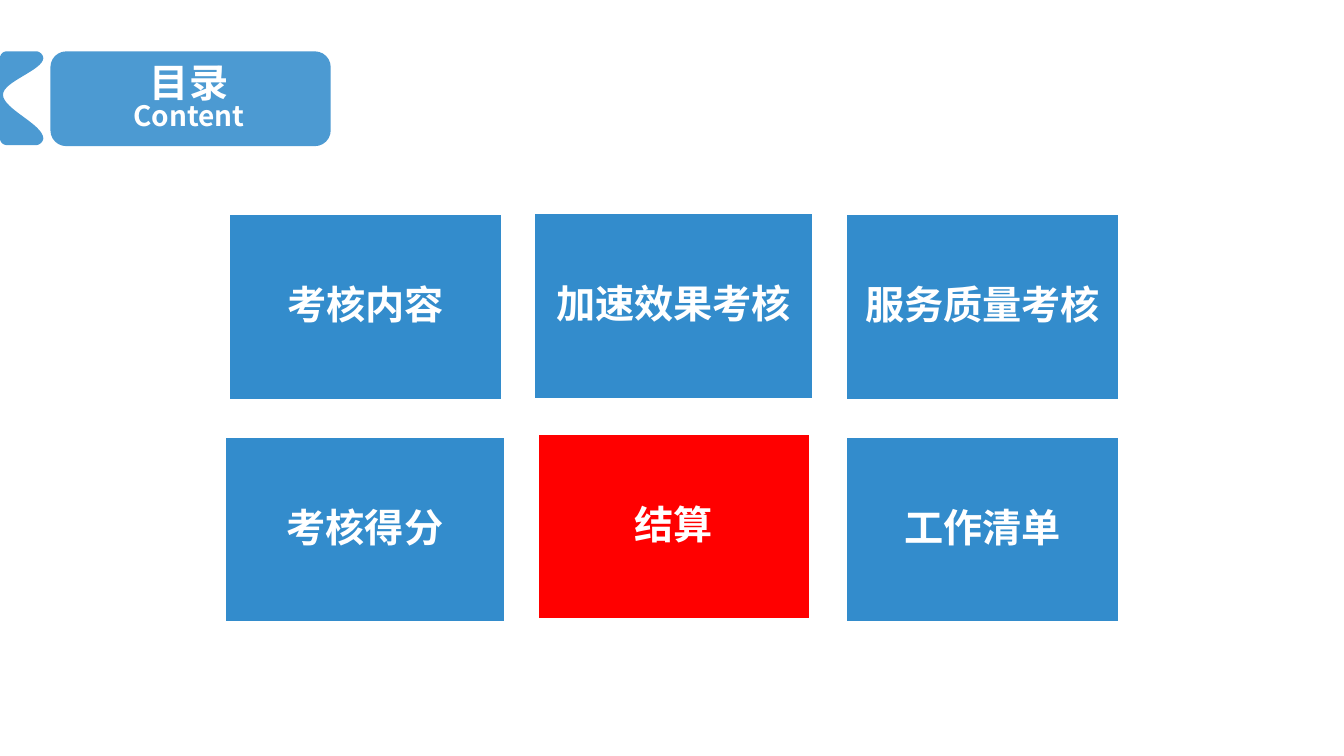
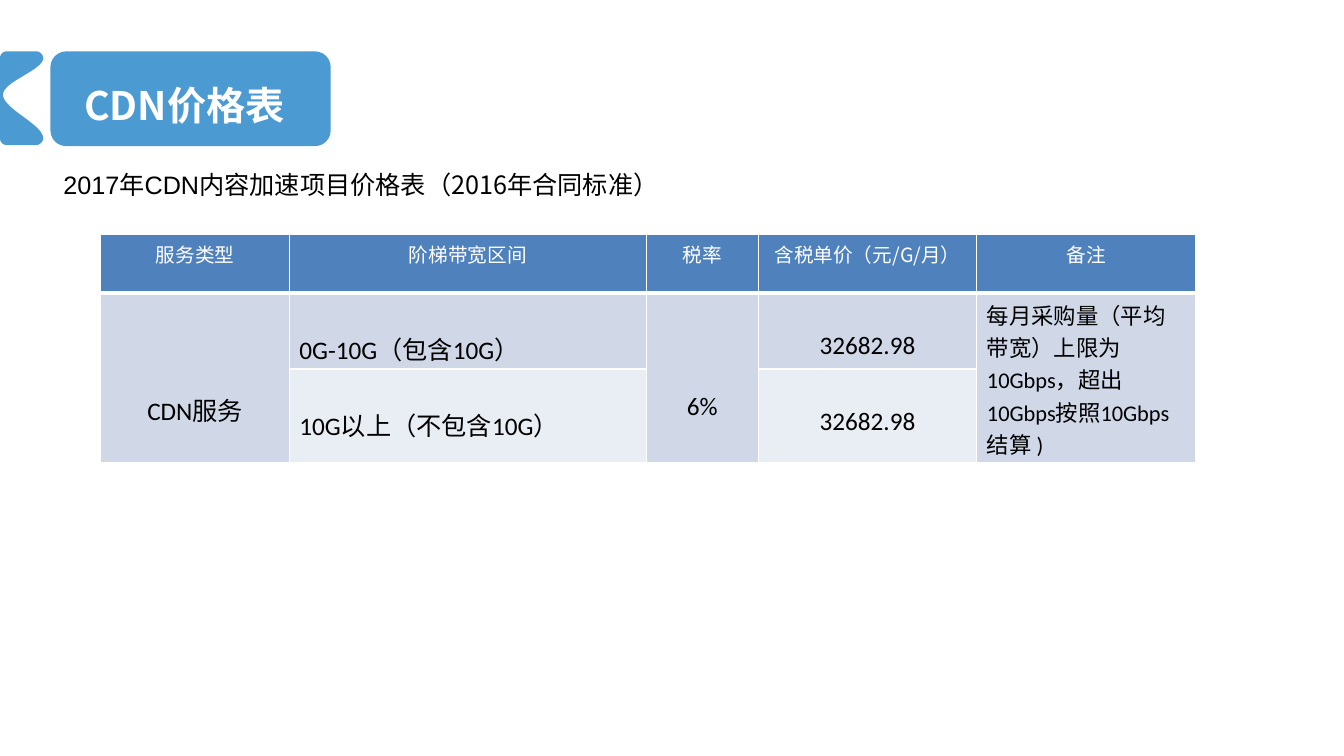
"""Build the two contract slides: the contents grid and the price table."""
from lxml.etree import SubElement as Sub
from pptx import Presentation
from pptx.dml.color import RGBColor as Rgb
from pptx.enum.shapes import MSO_SHAPE as Shape
from pptx.enum.text import MSO_ANCHOR as Anchor, PP_ALIGN as Align
from pptx.oxml.ns import qn
from pptx.util import Pt

PX = 9144
HUES = {
    "blue": "0070C0", "red": "FF0000", "white": "FFFFFF", "black": "000000",
    "head": "4F81BD", "band": "D0D8E8", "pale": "E9EDF4",
}
SANS, BODY, LATIN = "Noto Sans CJK SC", "Calibri", "Arial"

TOPICS = [
    [("考核内容", 271, 212, "blue"), ("加速效果考核", 278, 211, "blue"),
     ("服务质量考核", 271, 212, "blue")],
    [("考核得分", 278, 433, "blue"), ("结算", 271, 430, "red"),
     ("工作清单", 271, 433, "blue")],
]
FIRST, PITCH, TALL = 362, 306, 185

NOTCH = [
    (7, 144), [(3, 144), (0, 141), (0, 137)], [(0, 137), (0, 58), (0, 58)],
    [(0, 54), (3, 51), (7, 51)], [(7, 51), (36, 51), (36, 51)],
    [(39, 51), (43, 54), (43, 58)], [(42, 70), (3, 81), (3, 94)],
    [(3, 108), (42, 123), (43, 137)], [(43, 141), (39, 144), (36, 144)],
]

CAPTION = [("2017年CDN", LATIN), ("内容加速项目价格表（2016年合同标准）", SANS)]
COLS, ROWS = [187, 354, 111, 217, 217], [58, 75, 93]
HEADS = ["服务类型", "阶梯带宽区间", "税率", "含税单价（元/G/月）", "备注"]
NOTE = "每月采购量（平均带宽）上限为10Gbps，超出10Gbps按照10Gbps结算 )"
CELLS = [
    (1, 0, "CDN服务", 18, 97, Align.CENTER),
    (1, 1, "0G-10G（包含10G）", 18, 37, Align.LEFT),
    (1, 2, "6%", 18, 97, Align.CENTER),
    (1, 3, "32682.98", 18, 37, Align.CENTER),
    (1, 4, NOTE, 16, 5, Align.LEFT),
    (2, 1, "10G以上（不包含10G）", 18, 37, Align.LEFT),
    (2, 3, "32682.98", 18, 37, Align.CENTER),
]
MERGED = [0, 2, 4]


def px(*nums):
    return [round(n * PX) for n in nums]


def rgb(hue):
    return Rgb.from_string(HUES[hue])


def style(font, size, hue, name=SANS, bold=False):
    font.size, font.bold, font.name = Pt(size), bold, name
    font.color.rgb = rgb(hue)
    Sub(font._rPr, qn("a:ea")).set("typeface", SANS)


def paint(shape, hue, alpha=100):
    shape.shadow.inherit = False
    shape.fill.solid()
    shape.fill.fore_color.rgb = rgb(hue)
    shape.line.fill.background()
    if alpha < 100:
        tone = shape._element.spPr.find(qn("a:solidFill"))[0]
        Sub(tone, qn("a:alpha")).set("val", str(alpha * 1000))


def curve(start, ctrl, steps=16):
    pts = [start, *ctrl]
    for i in range(1, steps + 1):
        t = i / steps
        part = ((1 - t) ** 3, 3 * t * (1 - t) ** 2, 3 * t * t * (1 - t), t ** 3)
        yield tuple(sum(k * p[axis] for k, p in zip(part, pts)) for axis in (0, 1))


def header(slide, spot, lines, gap):
    tab = slide.shapes.add_shape(Shape.FLOWCHART_ALTERNATE_PROCESS, *px(50, 51, 278, 94))
    paint(tab, "blue", 70)
    pen = NOTCH[0]
    form = slide.shapes.build_freeform(*px(*pen), scale=1.0)
    for ctrl in NOTCH[1:]:
        form.add_line_segments([px(*pt) for pt in curve(pen, ctrl)], close=False)
        pen = ctrl[-1]
    form.add_line_segments([], close=True)
    paint(form.convert_to_shape(), "blue", 70)
    frame = slide.shapes.add_textbox(*px(*spot)).text_frame
    frame.word_wrap, frame.vertical_anchor = True, Anchor.MIDDLE
    frame.text = "\n".join(text for text, _ in lines)
    for para, (_, size) in zip(frame.paragraphs, lines):
        para.alignment, para.line_spacing = Align.CENTER, gap
        style(para.font, size, "white", bold=True)


def topic(slide, col, text, wide, top, hue):
    left = FIRST + col * PITCH - wide // 2
    box = slide.shapes.add_shape(Shape.RECTANGLE, *px(left, top, wide, TALL))
    paint(box, hue, 80 if hue == "blue" else 100)
    box.line.color.rgb, box.line.width = rgb("white"), Pt(2)
    frame = box.text_frame
    frame.word_wrap, frame.vertical_anchor = True, Anchor.MIDDLE
    frame.margin_left = frame.margin_right = px(15)[0]
    frame.margin_top = frame.margin_bottom = px(15)[0]
    para = frame.paragraphs[0]
    para.text, para.alignment, para.line_spacing = text, Align.CENTER, 0.9
    style(para.font, 28, "white", bold=True)


def caption(slide):
    frame = slide.shapes.add_textbox(*px(53, 168, 613, 40)).text_frame
    frame.word_wrap = True
    para = frame.paragraphs[0]
    para.line_spacing = 0.82
    for text, name in CAPTION:
        run = para.add_run()
        run.text = text
        style(run.font, 18, "black", name)


def edge(cell, side, width):
    line = Sub(cell._tc.get_or_add_tcPr(), qn("a:ln" + side), w=str(Pt(width)))
    fill = Sub(line, qn("a:solidFill"))
    Sub(fill, qn("a:srgbClr")).set("val", HUES["white"])


def write(cell, text, size, top, align, hue, name):
    cell.margin_top = px(top)[0]
    para = cell.text_frame.paragraphs[0]
    para.text, para.alignment = text, align
    style(para.font, size, hue, name)


def prices(slide):
    spot = px(100, 233, sum(COLS), sum(ROWS))
    table = slide.shapes.add_table(len(ROWS), len(COLS), *spot).table
    table.first_row = table.horz_banding = False
    for col, wide in zip(table.columns, COLS):
        col.width = px(wide)[0]
    for r, tall in enumerate(ROWS):
        table.rows[r].height = px(tall)[0]
        for c in range(len(COLS)):
            cell = table.cell(r, c)
            for side in "LRTB":
                edge(cell, side, 3 if (r, side) in [(0, "B"), (1, "T")] else 1)
            cell.fill.solid()
            tone = "band" if c in MERGED else "pale"
            cell.fill.fore_color.rgb = rgb(["head", "band", tone][r])
    for c in MERGED:
        table.cell(1, c).merge(table.cell(2, c))
    for c, text in enumerate(HEADS):
        write(table.cell(0, c), text, 14, 5, Align.CENTER, "white", SANS)
    for r, c, text, size, top, align in CELLS:
        write(table.cell(r, c), text, size, top, align, "black", BODY)


def main():
    deck = Presentation()
    deck.slide_width, deck.slide_height = px(1333, 750)
    blank = deck.slide_layouts[6]

    slide = deck.slides.add_slide(blank)
    header(slide, (52, 52, 271, 94), [("目录", 28), ("Content", 20)], 0.8)
    for row in TOPICS:
        for col, item in enumerate(row):
            topic(slide, col, *item)

    slide = deck.slides.add_slide(blank)
    header(slide, (53, 76, 260, 55), [("CDN价格表", 28)], 1.0)
    prices(slide)
    caption(slide)
    deck.save("out.pptx")


if __name__ == "__main__":
    main()
